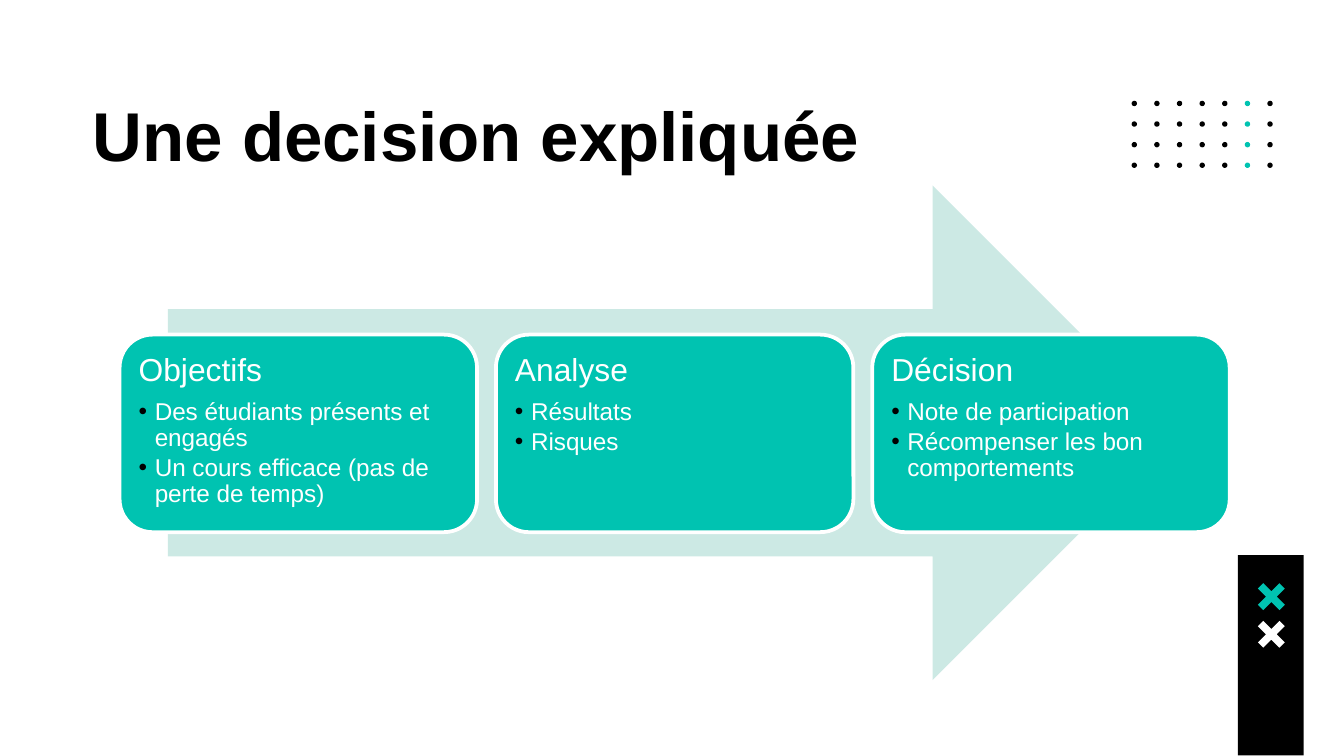
import dataclasses
import itertools
from typing import Any

import pptx
import pptx.dml.color
import pptx.enum.shapes
import pptx.enum.text
import pptx.oxml
import pptx.oxml.ns
import pptx.util

Inches = pptx.util.Inches
Pt = pptx.util.Pt
SHAPE = pptx.enum.shapes.MSO_SHAPE
ANCHOR = pptx.enum.text.MSO_ANCHOR
ALIGN = pptx.enum.text.PP_ALIGN

TEAL, PALE, BLACK, WHITE = "00C3B1", "CCE9E4", "000000", "FFFFFF"
FONT = "Arial"
SIDES = ("left", "top", "right", "bottom")
HEAD = {"line_spacing": 0.9, "space_after": Pt(6), "alignment": ALIGN.LEFT}
ITEM = {"level": 1, "line_spacing": 0.9, "space_after": Pt(2),
        "alignment": ALIGN.LEFT}
# Corners of a cross about its centre, in inches
CROSS = [(-0.06, -0.1), (-0.1, -0.06), (-0.04, 0), (-0.1, 0.06),
         (-0.06, 0.1), (0, 0.04), (0.06, 0.1), (0.1, 0.06),
         (0.04, 0), (0.1, -0.06), (0.06, -0.1), (0, -0.04)]


@dataclasses.dataclass
class Box:
    left: float
    top: float
    width: float
    height: float

    def place(self) -> list[int]:
        return [Inches(v) for v in dataclasses.astuple(self)]


@dataclasses.dataclass
class Card:
    title: str
    items: list[str]


CARDS = [
    Card("Objectifs", ["Des étudiants présents et engagés",
                       "Un cours efficace (pas de perte de temps)"]),
    Card("Analyse", ["Résultats", "Risques"]),
    Card("Décision", ["Note de participation",
                      "Récompenser les bon comportements"]),
]


def color(value: str) -> pptx.dml.color.RGBColor:
    return pptx.dml.color.RGBColor.from_string(value)


def assign(target: Any, values: dict[str, Any]) -> None:
    for name, value in values.items():
        setattr(target, name, value)


def paint(shape: Any, fill: str) -> Any:
    """Give a plain fill with no line and no shadow."""
    shape.shadow.inherit = False
    shape.fill.solid()
    shape.fill.fore_color.rgb = color(fill)
    shape.line.fill.background()
    return shape


def add_shape(slide: Any, kind: Any, box: Box, fill: str) -> Any:
    return paint(slide.shapes.add_shape(kind, *box.place()), fill)


def add_cross(slide: Any, x: float, y: float, fill: str) -> None:
    points = [(Inches(x + dx), Inches(y + dy)) for dx, dy in CROSS]
    pen = slide.shapes.build_freeform(*points[0])
    pen.add_line_segments(points[1:], close=True)
    paint(pen.convert_to_shape(), fill)


def add_bullet(para: Any) -> None:
    props = para._p.get_or_add_pPr()
    props.set("marL", str(Inches(0.12)))
    props.set("indent", str(Inches(-0.12)))
    space = pptx.oxml.ns.nsdecls("a")
    for xml in (f'<a:buClr {space}><a:srgbClr val="{BLACK}"/></a:buClr>',
                f'<a:buFont {space} typeface="{FONT}"/>',
                f'<a:buChar {space} char="•"/>'):
        props.append(pptx.oxml.parse_xml(xml))


def write(para: Any, text: str, size: int, fill: str, bold: bool = False) -> None:
    para.text = text
    font = para.runs[0].font
    assign(font, {"name": FONT, "size": Pt(size), "bold": bold})
    font.color.rgb = color(fill)


def set_frame(frame: Any, inset: float, anchor: Any) -> None:
    assign(frame, {f"margin_{side}": Inches(inset) for side in SIDES})
    assign(frame, {"word_wrap": True, "vertical_anchor": anchor,
                   "auto_size": pptx.enum.text.MSO_AUTO_SIZE.NONE})


def add_card(slide: Any, card: Card, box: Box) -> None:
    shape = add_shape(slide, SHAPE.ROUNDED_RECTANGLE, box, TEAL)
    shape.line.color.rgb = color(WHITE)
    shape.line.width = Pt(2)
    frame = shape.text_frame
    set_frame(frame, 0.07, ANCHOR.TOP)
    head = frame.paragraphs[0]
    assign(head, HEAD)
    write(head, card.title, 17, WHITE)
    for text in card.items:
        para = frame.add_paragraph()
        add_bullet(para)
        assign(para, ITEM)
        write(para, text, 13, WHITE)


def add_title(slide: Any, text: str, box: Box) -> None:
    title = slide.shapes.title
    assign(title, dict(zip(("left", "top", "width", "height"), box.place())))
    frame = title.text_frame
    set_frame(frame, 0.1, ANCHOR.MIDDLE)
    para = frame.paragraphs[0]
    assign(para, {"alignment": ALIGN.LEFT, "line_spacing": 1.0})
    write(para, text, 37, BLACK, bold=True)


def main() -> None:
    deck = pptx.Presentation()
    # A 16:9 page
    assign(deck, {"slide_width": Inches(10), "slide_height": Inches(10 * 9 / 16)})
    slide = deck.slides.add_slide(deck.slide_layouts[5])

    for row, col in itertools.product(range(4), range(7)):
        dot = Box(8.42 + col * 1.01 / 6, 0.75 + row * 0.46 / 3, 0.04, 0.04)
        add_shape(slide, SHAPE.OVAL, dot, TEAL if col == 5 else BLACK)

    add_shape(slide, SHAPE.RECTANGLE, Box(9.21, 4.13, 0.49, 1.49), BLACK)
    add_cross(slide, 9.46, 4.44, TEAL)
    add_cross(slide, 9.46, 4.72, WHITE)

    add_title(slide, "Une decision expliquée", Box(0.59, 0.6, 8.86, 0.79))
    add_shape(slide, SHAPE.RIGHT_ARROW, Box(1.25, 1.38, 7.53, 3.68), PALE)
    for index, card in enumerate(CARDS):
        add_card(slide, card, Box(0.89 + index * 2.8, 2.49, 2.66, 1.47))

    deck.save("out.pptx")


if __name__ == "__main__":
    main()
